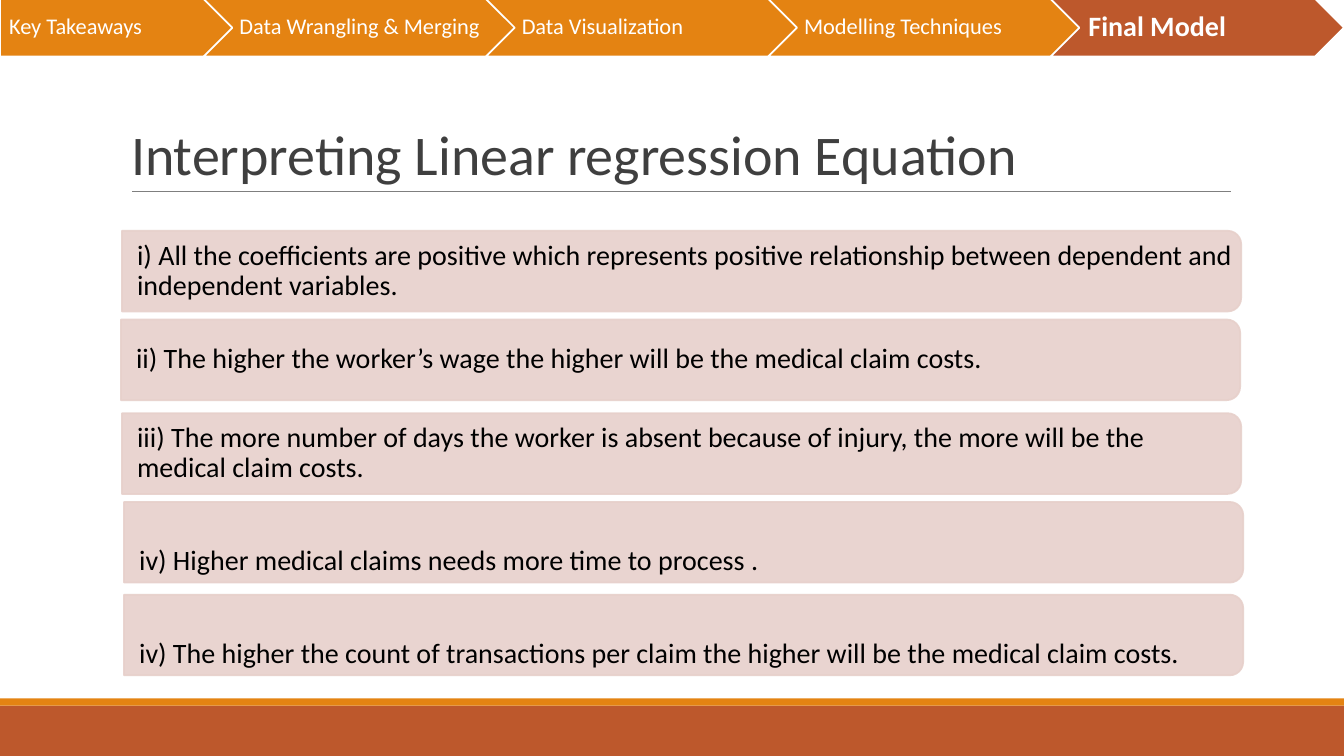
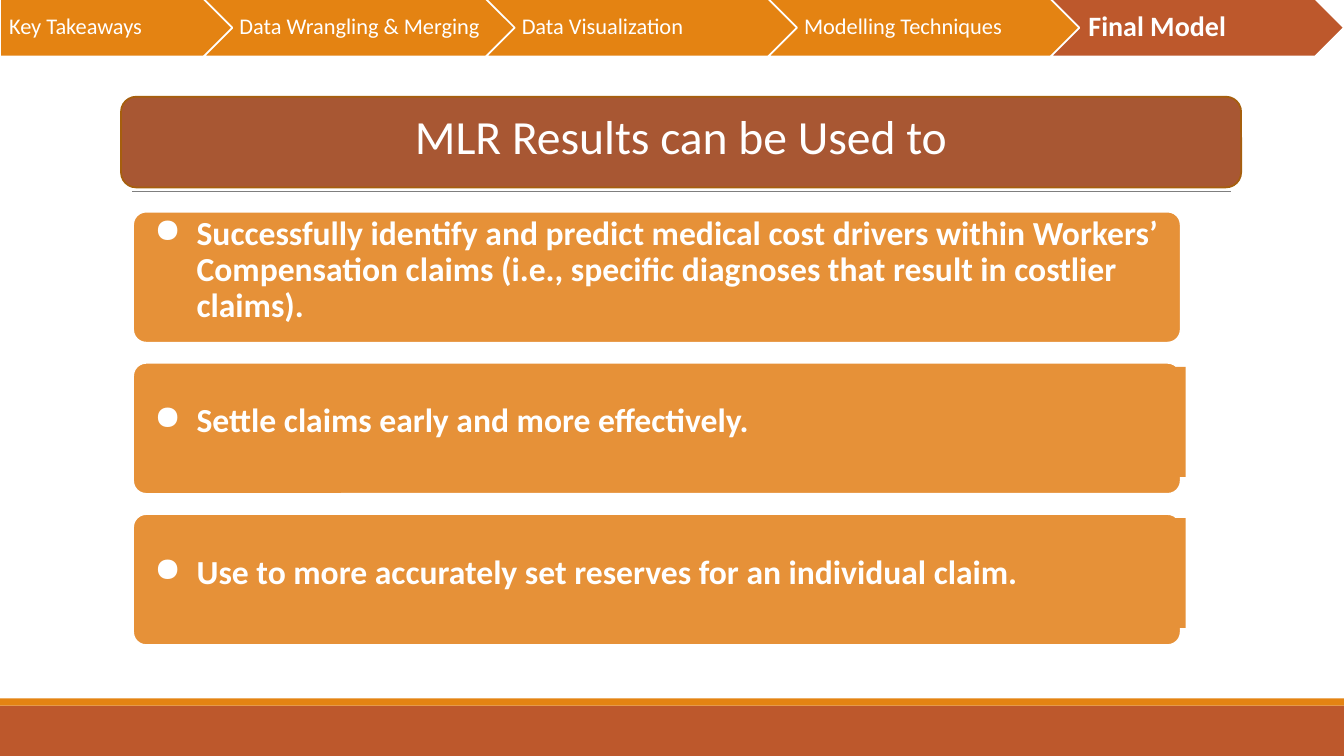
import pptx
import pptx.dml.color
import pptx.enum.shapes
import pptx.enum.text
import pptx.oxml.ns
import pptx.util
from lxml import etree

Inches = pptx.util.Inches
Pt = pptx.util.Pt
SHAPE = pptx.enum.shapes.MSO_SHAPE
ANCHOR = pptx.enum.text.MSO_ANCHOR
ALIGN = pptx.enum.text.PP_ALIGN
qn = pptx.oxml.ns.qn
rgb = pptx.dml.color.RGBColor.from_string

FONT = "Calibri"
RUST, ORANGE, WHITE = "BD582C", "E48312", "FFFFFF"
PANEL, BANNER, CARD = "E7D0CB", "A85733", "E69138"


def add_box(slide, kind, box, fill, line=None):
    """Add a preset shape at box (left, top, width, height in inches)."""
    shape = slide.shapes.add_shape(kind, *map(Inches, box))
    shape.shadow.inherit = False
    shape.fill.solid()
    shape.fill.fore_color.rgb = rgb(fill)
    if line:
        shape.line.color.rgb = rgb(line)
        shape.line.width = Pt(1.25)
    else:
        shape.line.fill.background()
    return shape


def write(shape, text, size, color, margins, spacing=0.9, bold=False,
          align=ALIGN.LEFT, anchor=ANCHOR.MIDDLE):
    """Fill a shape with one paragraph; margins are left, top, right, bottom in inches."""
    frame = shape.text_frame
    frame.word_wrap = True
    frame.auto_size = pptx.enum.text.MSO_AUTO_SIZE.NONE
    frame.vertical_anchor = anchor
    (frame.margin_left, frame.margin_top,
     frame.margin_right, frame.margin_bottom) = map(Inches, margins)
    paragraph = frame.paragraphs[0]
    paragraph.alignment = align
    paragraph.line_spacing = spacing
    run = paragraph.add_run()
    run.text = text
    run.font.name = FONT
    run.font.size = Pt(size)
    run.font.bold = bold
    run.font.color.rgb = rgb(color)
    return paragraph


presentation = pptx.Presentation()
presentation.slide_width = Inches(13.33)
presentation.slide_height = Inches(7.5)
layout = presentation.slide_layouts[5]
layout_title = layout.placeholders[0]
layout_title.left, layout_title.top = Inches(1.2), Inches(1.08)
layout_title.width, layout_title.height = Inches(11), Inches(0.82)

equation_slide = presentation.slides.add_slide(layout)
results_slide = presentation.slides.add_slide(layout)

# Footer bands and title rule are drawn once, then moved to the layout
rule = equation_slide.shapes.add_connector(
    pptx.enum.shapes.MSO_CONNECTOR.STRAIGHT,
    Inches(1.31), Inches(1.9), Inches(12.21), Inches(1.9))
rule.line.color.rgb = rgb("7F7F7F")
rule.line.width = Pt(0.75)
etree.SubElement(rule.element.spPr, qn("a:effectLst"))
footer_band = add_box(equation_slide, SHAPE.RECTANGLE, (0, 7, 13.33, 0.5), RUST)
footer_stripe = add_box(equation_slide, SHAPE.RECTANGLE, (0, 6.93, 13.33, 0.07), ORANGE)
for shared in (footer_band, footer_stripe, rule):
    layout.shapes.element.append(shared.element)

# Navigation bar on every slide
steps = ["Key Takeaways", "Data Wrangling & Merging", "Data Visualization",
         "Modelling Techniques", "Final Model"]
for slide in (equation_slide, results_slide):
    for index, step in enumerate(steps):
        first, current = index == 0, index == len(steps) - 1
        left = 0 if first else 2.02 + 2.8 * (index - 1)
        width = 2.72 if first else 2.91 if current else 3.5
        arrow = add_box(slide, SHAPE.PENTAGON if first else SHAPE.CHEVRON,
                        (left, -0.01, width, 0.57), RUST if current else ORANGE, WHITE)
        write(arrow, step, 20 if current else 16, WHITE,
              (0.09 if first or current else 0.07, 0.05, 0.02, 0.05), bold=current)

# Slide 1: interpretation panels
write(equation_slide.shapes.title, "Interpreting Linear regression Equation", 40, "3F3F3F",
      (0.1, 0.05, 0.1, 0.05), spacing=0.85, anchor=ANCHOR.BOTTOM)
panel_width, panel_height = 11.1, 0.8
panels = [
    (1.21, 2.29, "i) All the coefficients are positive which represents positive relationship "
                 "between dependent and independent variables."),
    (1.2, 3.17, "ii) The higher the worker’s wage the higher will be the medical claim costs."),
    (1.21, 4.1, "iii) The more number of days the worker is absent because of injury, "
                "the more will be the medical claim costs."),
    (1.23, 4.98, "iv) Higher medical claims needs more time to process ."),
    (1.23, 5.9, "iv) The higher the count of transactions per claim the higher will be "
                "the medical claim costs."),
]
for index, (left, top, text) in enumerate(panels):
    # A quarter turn about the centre puts the rounded corners on the right
    offset = (panel_width - panel_height) / 2
    panel = add_box(equation_slide, SHAPE.ROUND_2_SAME_RECTANGLE,
                    (left + offset, top - offset, panel_height, panel_width), PANEL, PANEL)
    panel.rotation = 90
    for color in panel.element.spPr.iter(qn("a:srgbClr")):
        etree.SubElement(color, qn("a:alpha"), val="90000")
    label = equation_slide.shapes.add_textbox(
        Inches(left + 0.07), Inches(top + 0.04), Inches(11.04), Inches(0.72))
    double_spaced = index >= 3
    write(label, text, 20, "000000", (0.08, 0.04, 0.08, 0.04),
          spacing=2.0 if double_spaced else 0.9,
          align=ALIGN.JUSTIFY if double_spaced else ALIGN.LEFT)

# Slide 2: title banner and bulleted cards
banner_box = (1.2, 0.96, 11.11, 0.9)
banner = add_box(results_slide, SHAPE.ROUNDED_RECTANGLE, banner_box, BANNER, "A65F0D")
title = results_slide.shapes.title
title.element.addprevious(banner.element)
title.left, title.top, title.width, title.height = map(Inches, banner_box)
write(title, "MLR Results can be Used to", 34, WHITE, (0.1, 0.1, 0.1, 0.05),
      spacing=1.0, align=ALIGN.CENTER, anchor=ANCHOR.TOP)

uses = [
    "Successfully identify and predict medical cost drivers within Workers’ Compensation "
    "claims (i.e., specific diagnoses that result in costlier claims).",
    "Settle claims early and more effectively.",
    "Use to more accurately set reserves for an individual claim.",
]
for index, use in enumerate(uses):
    top = 2.1 + 1.5 * index
    card = add_box(results_slide, SHAPE.ROUNDED_RECTANGLE, (1.32, top, 10.39, 1.3), CARD, WHITE)
    card.adjustments[0] = 0.1
    label = add_box(results_slide, SHAPE.RECTANGLE, (1.37, top + 0.04, 10.39, 1.09), CARD)
    if index == 0:
        label.fill.background()
    paragraph = write(label, use, 24, WHITE, (0.08,) * 4, bold=True)
    paragraph.space_before = Pt(6.7)
    properties = paragraph._p.get_or_add_pPr()
    properties.set("marL", str(Inches(0.5)))
    properties.set("indent", str(Inches(-0.42)))
    bullet_color = etree.SubElement(properties, qn("a:buClr"))
    etree.SubElement(bullet_color, qn("a:srgbClr"), val=WHITE)
    etree.SubElement(properties, qn("a:buChar"), char="●")

presentation.save("out.pptx")
